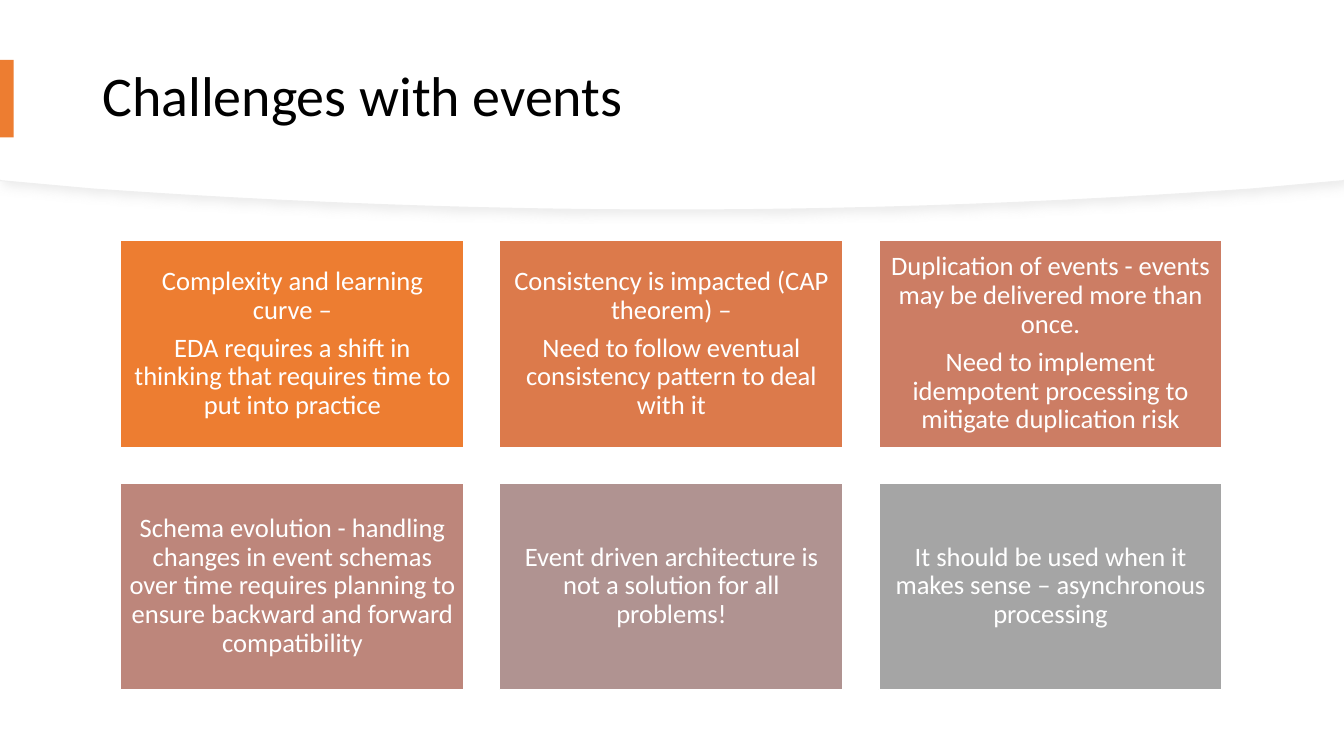
from lxml import etree
from pptx import Presentation
from pptx import util as u
from pptx.dml.color import RGBColor
from pptx.enum import shapes, text
from pptx.oxml import ns

PX = 9525  # 96 px to the inch
WIDTH, HEIGHT = 1280, 720
FONT = "Calibri"

WHITE = RGBColor(0xFF, 0xFF, 0xFF)
BLACK = RGBColor(0x00, 0x00, 0x00)
ORANGE = RGBColor(0xED, 0x7D, 0x31)
EDGE = RGBColor(0xEF, 0xEF, 0xEF)
SHADE = RGBColor(0xD9, 0xD9, 0xD9)

CARD_LEFT, CARD_TOP = 115, 229
CARD_WIDTH, CARD_HEIGHT = 327, 197
CARD_GAP = 34
COLUMNS = 3
CARDS = [
    (ORANGE, ["Complexity and learning curve –",
              "EDA requires a shift in thinking that requires time to put into practice"]),
    (RGBColor(0xDC, 0x7A, 0x4B),
     ["Consistency is impacted (CAP theorem) –",
      "Need to follow eventual consistency pattern to deal with it"]),
    (RGBColor(0xCC, 0x7D, 0x64),
     ["Duplication of events - events may be delivered more than once.",
      "Need to implement idempotent processing to mitigate duplication risk"]),
    (RGBColor(0xBD, 0x86, 0x7B),
     ["Schema evolution - handling changes in event schemas over time requires "
      "planning to ensure backward and forward compatibility"]),
    (RGBColor(0xB0, 0x93, 0x91),
     ["Event driven architecture is not a solution for all problems!"]),
    (RGBColor(0xA5, 0xA5, 0xA5),
     ["It should be used when it makes sense – asynchronous processing"]),
]


def px(*lengths):
    return [u.Emu(round(length * PX)) for length in lengths]


def bezier(points, steps=24):
    """Points along a cubic curve, without its first point."""
    for step in range(1, steps + 1):
        t = step / steps
        weights = ((1 - t) ** 3, 3 * t * (1 - t) ** 2, 3 * t * t * (1 - t), t ** 3)
        yield tuple(sum(w * p[axis] for w, p in zip(weights, points)) for axis in (0, 1))


def add_shadow(shape):
    effects = shape._element.spPr.find(ns.qn("a:effectLst"))
    shadow = etree.SubElement(effects, ns.qn("a:outerShdw"), blurRad=str(u.Pt(7)),
                              dist=str(u.Pt(3)), dir="2700000", algn="tl", rotWithShape="0")
    color = etree.SubElement(shadow, ns.qn("a:srgbClr"), val=str(SHADE))
    etree.SubElement(color, ns.qn("a:alpha"), val="50000")


def add_header(page, depth):
    """White band whose lower edge sags to the given depth in the middle."""
    middle = WIDTH / 2
    right = [(1192, depth - 20), (1022, depth - 8), (836, depth), (middle, depth)]
    left = [(WIDTH - x, y) for x, y in reversed(right)]
    outline = [(WIDTH, 0), (WIDTH, depth - 28), right[0],
               *bezier(right), *bezier(left), (0, depth - 28)]
    builder = page.shapes.build_freeform(0, 0, scale=1.0)
    builder.add_line_segments([px(x, y) for x, y in outline], close=True)
    band = builder.convert_to_shape()
    band.shadow.inherit = False
    band.fill.solid()
    band.fill.fore_color.rgb = WHITE
    band.line.fill.background()
    return band


def add_rect(page, fill, *place):
    rect = page.shapes.add_shape(shapes.MSO_SHAPE.RECTANGLE, *px(*place))
    rect.shadow.inherit = False
    rect.fill.solid()
    rect.fill.fore_color.rgb = fill
    rect.line.fill.background()
    return rect


def write(box, lines, size, color, align, space_after=0):
    frame = box.text_frame
    frame.word_wrap = True
    frame.vertical_anchor = text.MSO_ANCHOR.MIDDLE
    for index, line in enumerate(lines):
        para = frame.add_paragraph() if index else frame.paragraphs[0]
        para.alignment = align
        para.line_spacing = 0.9
        para.space_after = u.Pt(space_after)
        span = para.add_run()
        span.text = line
        span.font.name = FONT
        span.font.size = u.Pt(size)
        span.font.color.rgb = color


def add_card(page, index, fill, lines):
    row, column = divmod(index, COLUMNS)
    card = add_rect(page, fill,
                    CARD_LEFT + column * (CARD_WIDTH + CARD_GAP),
                    CARD_TOP + row * (CARD_HEIGHT + CARD_GAP),
                    CARD_WIDTH, CARD_HEIGHT)
    card.line.color.rgb = WHITE
    card.line.width = u.Pt(1)
    frame = card.text_frame
    frame.margin_left, frame.margin_top, frame.margin_right, frame.margin_bottom = px(8, 8, 8, 8)
    write(card, lines, 19, WHITE, text.PP_ALIGN.CENTER, space_after=6.65)


def main():
    deck = Presentation()
    deck.slide_width, deck.slide_height = px(WIDTH, HEIGHT)
    page = deck.slides.add_slide(deck.slide_layouts[6])

    edge = add_header(page, 200)
    edge.line.color.rgb = EDGE
    edge.line.width = u.Pt(0.75)
    add_shadow(edge)
    add_header(page, 199)

    title = page.shapes.add_textbox(*px(88, 27, 1104, 133))
    write(title, ["Challenges with events"], 40, BLACK, text.PP_ALIGN.LEFT)
    add_rect(page, ORANGE, 0, 57, 13, 74)

    for index, (fill, lines) in enumerate(CARDS):
        add_card(page, index, fill, lines)

    deck.save("out.pptx")


if __name__ == "__main__":
    main()
